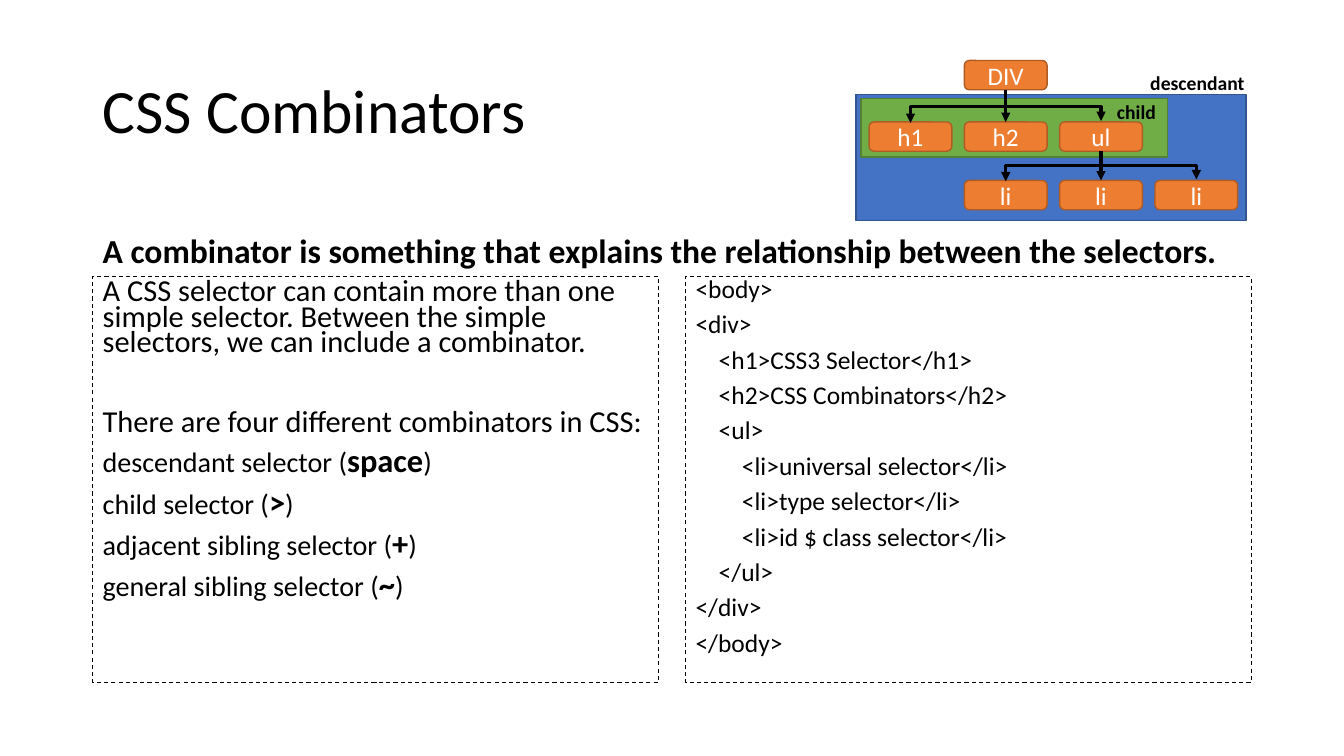
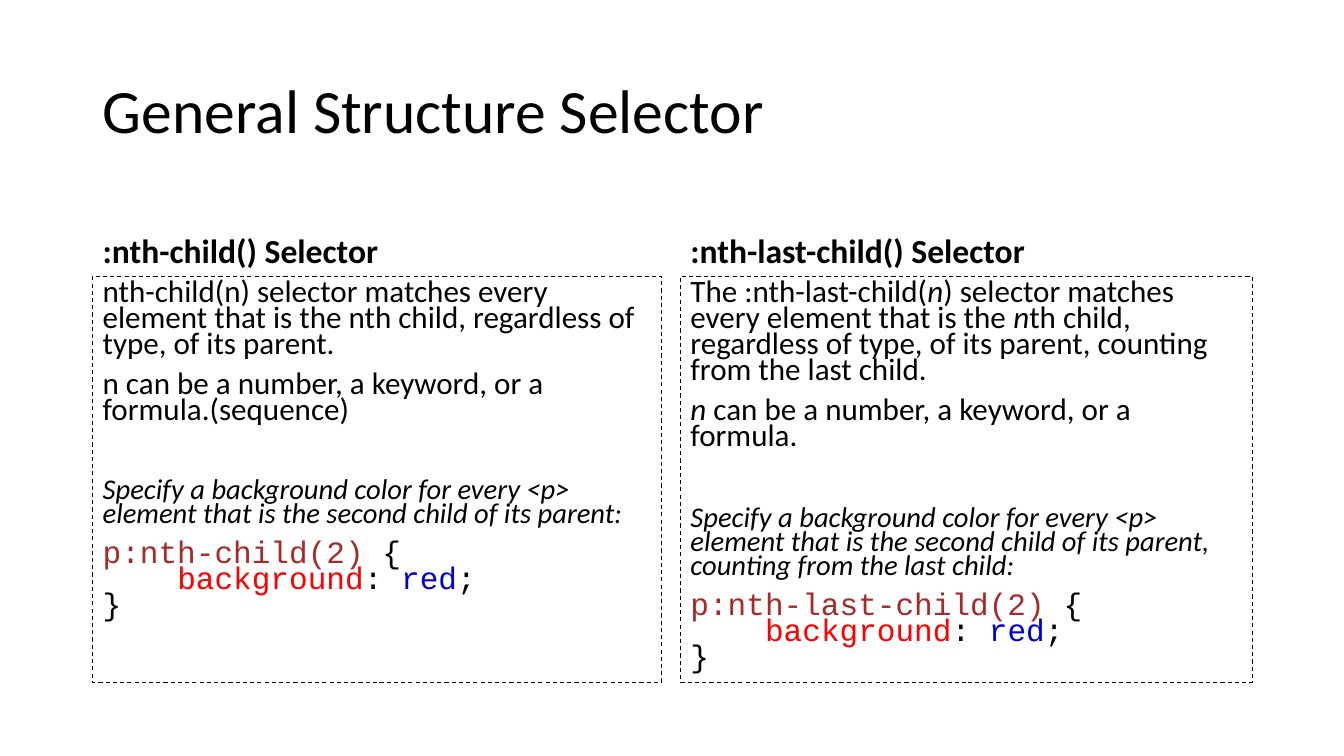
from lxml.etree import SubElement
from pptx import Presentation
from pptx.dml.color import RGBColor
from pptx.enum.dml import MSO_LINE
from pptx.enum.shapes import MSO_CONNECTOR, MSO_SHAPE
from pptx.enum.text import MSO_ANCHOR, MSO_AUTO_SIZE, PP_ALIGN
from pptx.oxml.ns import qn
from pptx.util import Inches, Pt

COLORS = {
    "text": "000000", "white": "FFFFFF",
    "blue": "4472C4", "blue_line": "325491",
    "green": "70AD47", "green_line": "538035",
    "orange": "ED7D31", "orange_line": "AF5C24",
    "selector": "A52A2A", "property": "FF0000", "value": "0000CD",
}
LEFT = 0.92
HEAD_TOP, HEAD_H = 1.84, 0.9
PANEL_TOP, PANEL_H = 2.74, 4.03
NODE_W, NODE_H = 0.82, 0.29
NODE_X = [8.62 + 0.945 * i for i in range(4)]
NODE_Y = [0.6, 1.21, 1.79]


def rgb(name):
    return RGBColor.from_string(COLORS[name])


def box(x, y, w, h):
    return [Inches(v) for v in (x, y, w, h)]


def add_run(p, text, size=18, bold=False, italic=False, color="text", font="Calibri"):
    r = p.add_run()
    r.text = text
    r.font.size = Pt(size)
    r.font.bold = bold
    r.font.italic = italic
    r.font.name = font
    r.font.color.rgb = rgb(color)


def add_paragraph(tf, runs, spacing=0.7, before=10, indent=0, align=PP_ALIGN.LEFT, **fmt):
    first = tf.paragraphs[0]
    p = tf.add_paragraph() if first.runs else first
    p.alignment = align
    p.line_spacing = spacing
    p.space_before = Pt(before)
    if indent:
        p._p.get_or_add_pPr().set("marL", str(Inches(indent)))
    for text, own in [(runs, {})] if isinstance(runs, str) else runs:
        add_run(p, text, **{**fmt, **own})


def setup_frame(tf, anchor=MSO_ANCHOR.TOP, wrap=True):
    tf.word_wrap = wrap
    tf.auto_size = MSO_AUTO_SIZE.NONE
    tf.vertical_anchor = anchor
    return tf


def new_slide(prs, title):
    s = prs.slides.add_slide(prs.slide_layouts[5])
    sp = s.shapes.title
    sp.left, sp.top, sp.width, sp.height = box(LEFT, 0.4, 11.5, 1.45)
    tf = setup_frame(sp.text_frame, MSO_ANCHOR.MIDDLE)
    add_paragraph(tf, title, spacing=0.9, before=0, size=44)
    return s


def add_heading(s, text, x, w):
    sp = s.shapes.add_textbox(*box(x, HEAD_TOP, w, HEAD_H))
    tf = setup_frame(sp.text_frame, MSO_ANCHOR.BOTTOM)
    add_paragraph(tf, text, spacing=0.9, size=24, bold=True)


def add_label(s, text, x, y, w):
    sp = s.shapes.add_textbox(*box(x, y, w, 0.34))
    tf = setup_frame(sp.text_frame, wrap=False)
    add_paragraph(tf, text, spacing=1, before=0, size=14, bold=True)


def add_block(s, kind, x, y, w, h, line, fill=None, width=1):
    sp = s.shapes.add_shape(kind, *box(x, y, w, h))
    sp.shadow.inherit = False
    if fill:
        sp.fill.solid()
        sp.fill.fore_color.rgb = rgb(fill)
    else:
        sp.fill.background()
    sp.line.color.rgb = rgb(line)
    sp.line.width = Pt(width)
    return sp


def add_panel(s, x, w):
    sp = add_block(s, MSO_SHAPE.RECTANGLE, x, PANEL_TOP, w, PANEL_H, "text", width=0.75)
    sp.line.dash_style = MSO_LINE.DASH
    return setup_frame(sp.text_frame)


def add_node(s, text, col, row):
    sp = add_block(s, MSO_SHAPE.ROUNDED_RECTANGLE, NODE_X[col], NODE_Y[row],
                   NODE_W, NODE_H, "orange_line", "orange")
    tf = setup_frame(sp.text_frame, MSO_ANCHOR.MIDDLE)
    add_paragraph(tf, text, spacing=1, before=0, align=PP_ALIGN.CENTER, color="white")
    return sp


def add_arrow(s, kind, x1, y1, x2, y2, ends=("tailEnd",)):
    c = s.shapes.add_connector(kind, *box(x1, y1, x2, y2))
    c.line.color.rgb = rgb("text")
    c.line.width = Pt(2.25)
    for end in ends:
        SubElement(c.line._get_or_add_ln(), qn(f"a:{end}"), type="triangle")
    SubElement(c._element.spPr, qn("a:effectLst"))
    return c


def add_branch(s, parent, child, col, row):
    x = NODE_X[col] + NODE_W / 2
    top, bottom = NODE_Y[row] + NODE_H, NODE_Y[row + 1]
    c = add_arrow(s, MSO_CONNECTOR.STRAIGHT, x, top, x, bottom)
    c.begin_connect(parent, 2)
    c.end_connect(child, 0)
    half = NODE_X[1] - NODE_X[0]
    fork = add_arrow(s, MSO_CONNECTOR.ELBOW, x + 0.01, bottom + half,
                     x - 0.01, bottom - half, ("headEnd", "tailEnd"))
    sp_pr = fork._element.spPr
    sp_pr.find(qn("a:xfrm")).set("rot", "5400000")
    adjust = sp_pr.find(qn("a:prstGeom")).find(qn("a:avLst"))
    SubElement(adjust, qn("a:gd"), name="adj1", fmla="val 800000")


def add_tree(s):
    add_block(s, MSO_SHAPE.RECTANGLE, 8.49, 0.94, 3.87, 1.25, "blue_line", "blue")
    add_block(s, MSO_SHAPE.RECTANGLE, 8.54, 0.98, 3.04, 0.58, "green_line", "green")
    div = add_node(s, "DIV", 1, 0)
    heads = [add_node(s, text, col, 1) for col, text in enumerate(("h1", "h2", "ul"))]
    items = [add_node(s, "li", col, 2) for col in (1, 2, 3)]
    add_branch(s, div, heads[1], 1, 0)
    add_branch(s, heads[2], items[1], 2, 1)
    add_label(s, "descendant", 11.31, 0.65, 1.25)
    add_label(s, "child", 10.98, 0.94, 0.59)


def add_rule(tf, selector):
    code = {"size": 22.2, "font": "Courier New"}
    add_paragraph(tf, [(selector, {"color": "selector"}), (" {", {})], **code)
    add_paragraph(tf, [("background", {"color": "property"}), (": ", {}),
                       ("red", {"color": "value"}), (";", {})],
                  before=0, indent=0.74, **code)
    add_paragraph(tf, "}", before=0, **code)


def combinators_slide(prs):
    s = new_slide(prs, "CSS Combinators")
    add_heading(s, "A combinator is something that explains the relationship "
                   "between the selectors.", LEFT, 11.5)
    tf = add_panel(s, LEFT, 5.61)
    add_paragraph(tf, "A CSS selector can contain more than one simple selector. Between "
                      "the simple selectors, we can include a combinator.", size=21.7)
    add_paragraph(tf, "There are four different combinators in CSS:", before=38.5, size=21.7)
    for name, sign in [("descendant", "space"), ("child", ">"),
                       ("adjacent sibling", "+"), ("general sibling", "~")]:
        add_paragraph(tf, [(f"{name} selector (", {}),
                           (sign, {"size": 23.2, "bold": True}), (")", {})], size=20.1)
    tf = add_panel(s, 6.8, 5.61)
    for level, text in [
        (0, "<body>"), (0, "<div>"),
        (1, "<h1>CSS3 Selector</h1>"), (1, "<h2>CSS Combinators</h2>"), (1, "<ul>"),
        (2, "<li>universal selector</li>"), (2, "<li>type selector</li>"),
        (2, "<li>id $ class selector</li>"),
        (1, "</ul>"), (0, "</div>"), (0, "</body>"),
    ]:
        add_paragraph(tf, text, indent=0.23 * level, size=18.2)
    add_tree(s)


def structure_slide(prs):
    s = new_slide(prs, "General Structure Selector")
    n = ("n", {"italic": True})
    example = ("Specify a background color for every <p> element that is "
               "the second child of its parent")
    columns = [
        (LEFT, 5.64, "nth-child",
         ["nth-child(n) selector matches every element that is the nth child, "
          "regardless of type, of its parent.",
          "n can be a number, a keyword, or a formula.(sequence)"],
         39, ":"),
        (6.75, 5.67, "nth-last-child",
         [[("The :nth-last-child(", {}), n,
           (") selector matches every element that is the ", {}), n,
           ("th child, regardless of type, of its parent, counting from the last child.", {})],
          [n, (" can be a number, a keyword, or a formula.", {})]],
         40.6, ", counting from the last child:"),
    ]
    for x, w, name, intro, gap, ending in columns:
        add_heading(s, f":{name}() Selector", x, w)
        tf = add_panel(s, x, w)
        for runs in intro:
            add_paragraph(tf, runs, size=22.2)
        add_paragraph(tf, example + ending, before=gap, size=20.4, italic=True)
        add_rule(tf, f"p:{name}(2)")


def main():
    prs = Presentation()
    prs.slide_width, prs.slide_height = Inches(13.33), Inches(7.5)
    combinators_slide(prs)
    structure_slide(prs)
    prs.save("out.pptx")


if __name__ == "__main__":
    main()
